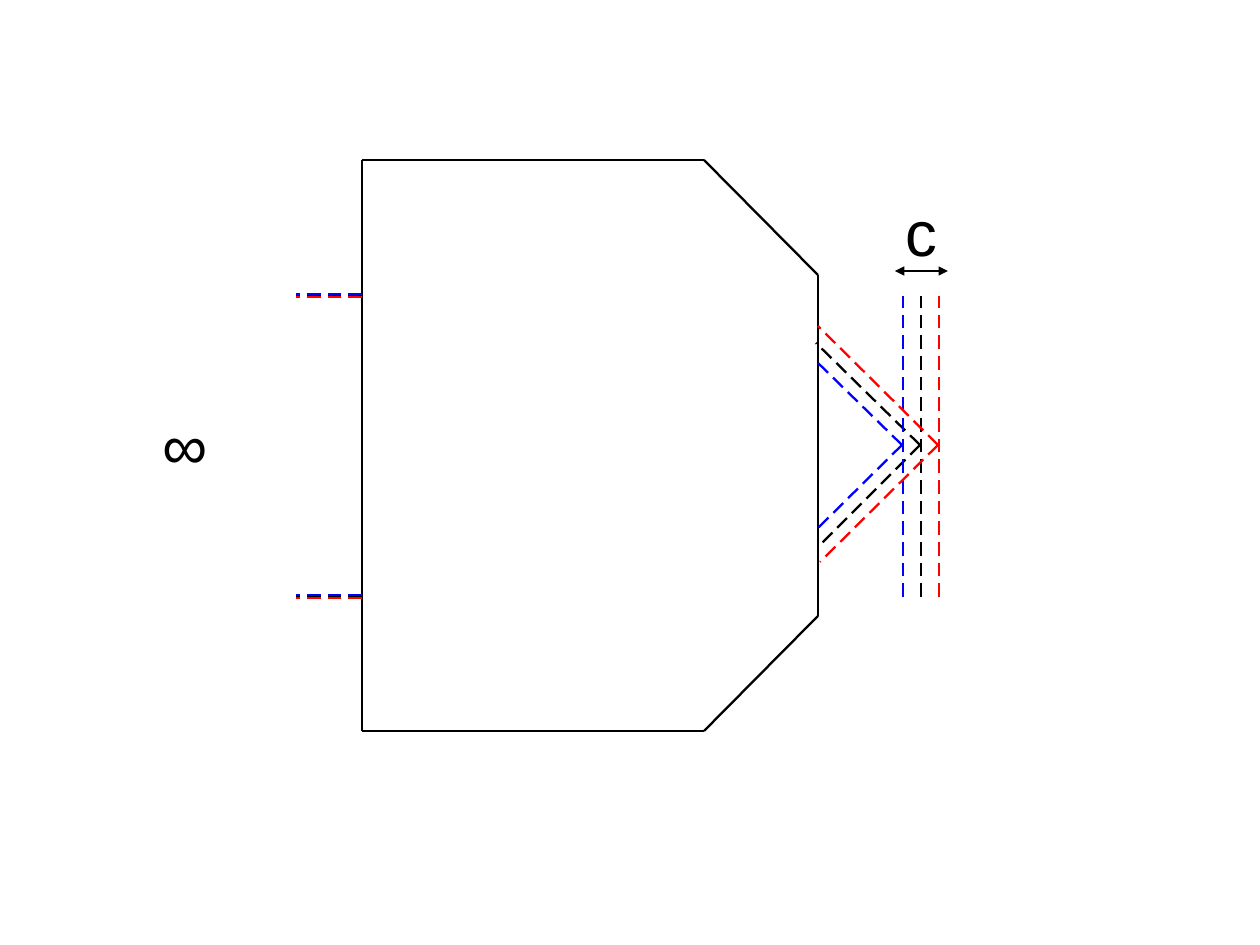
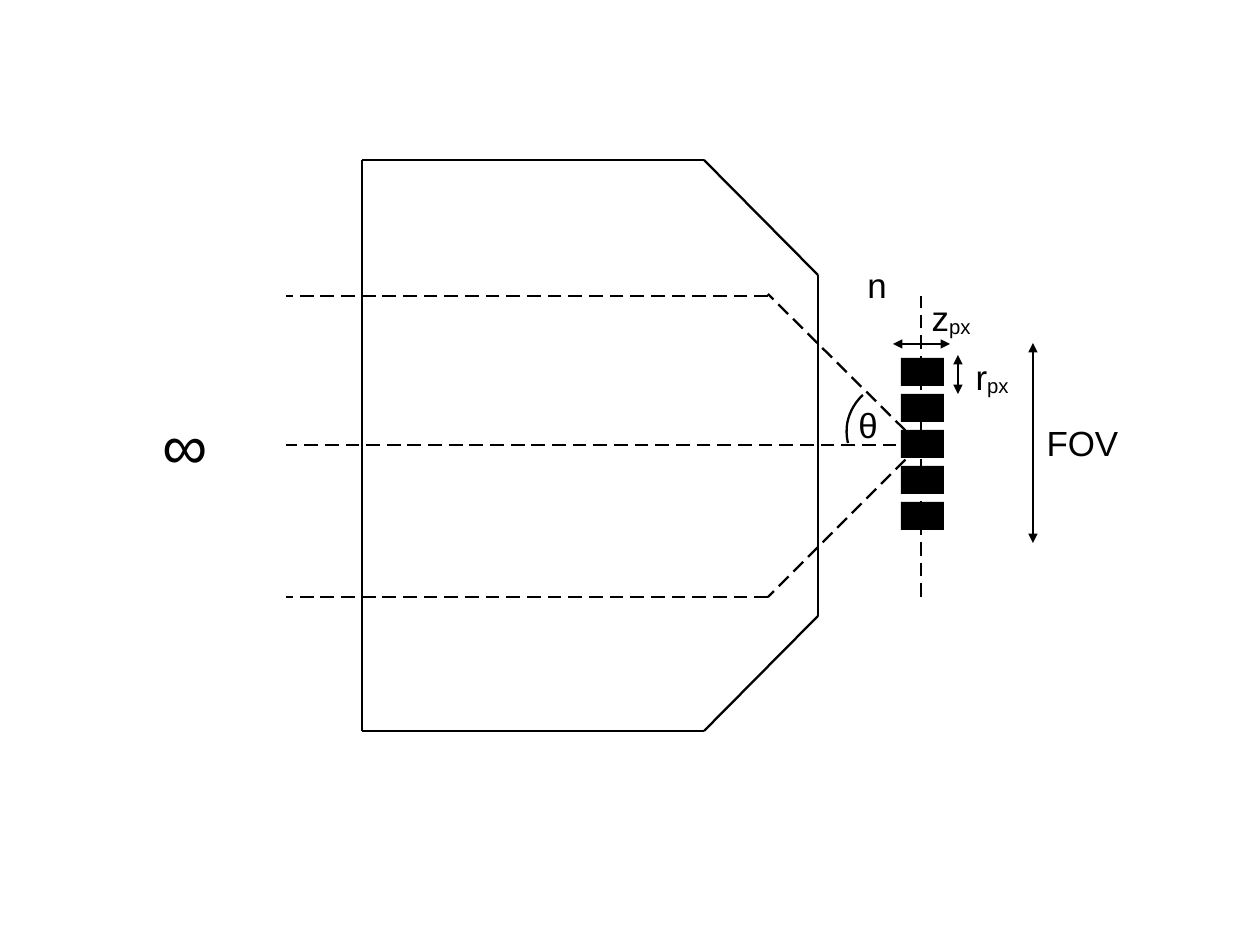
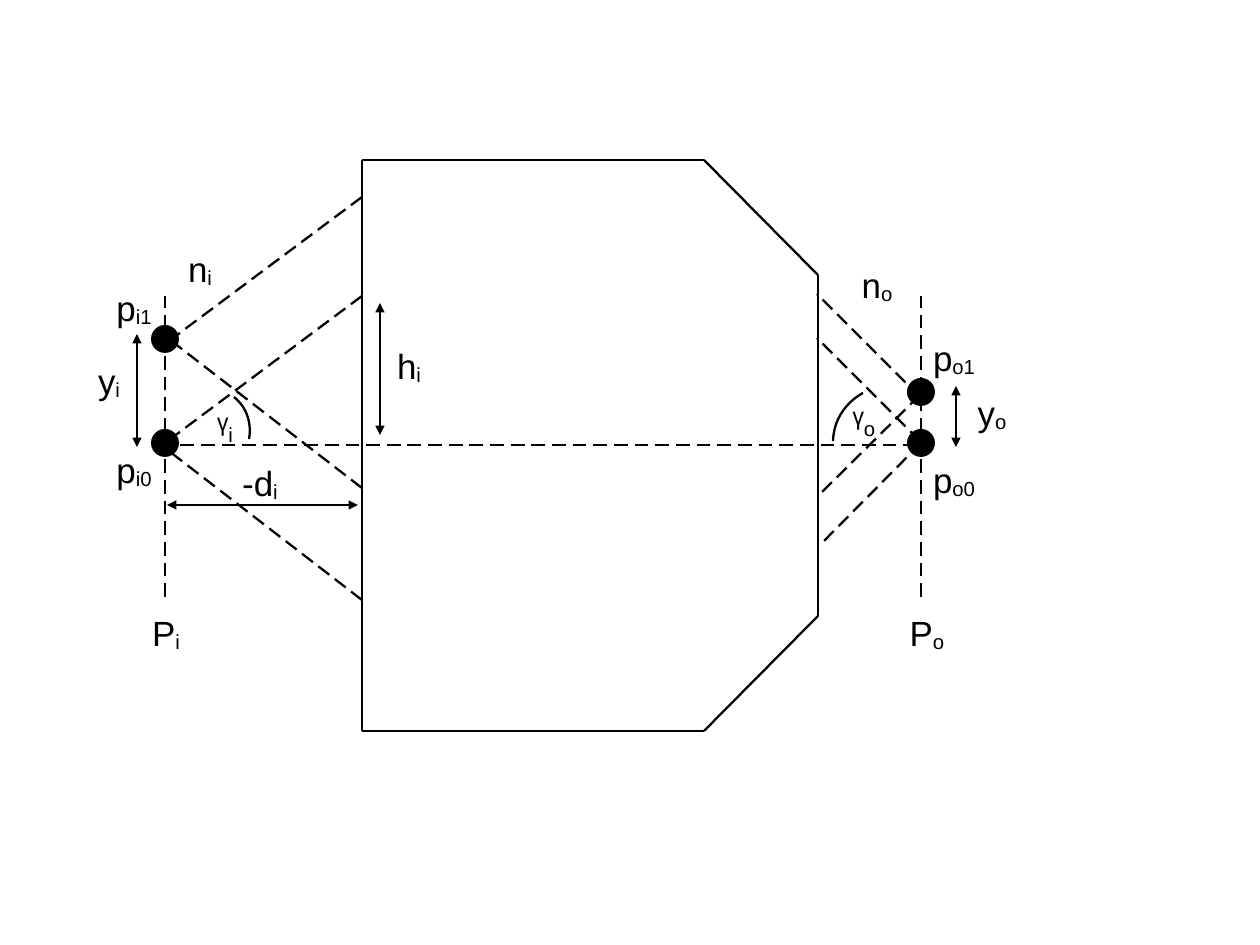
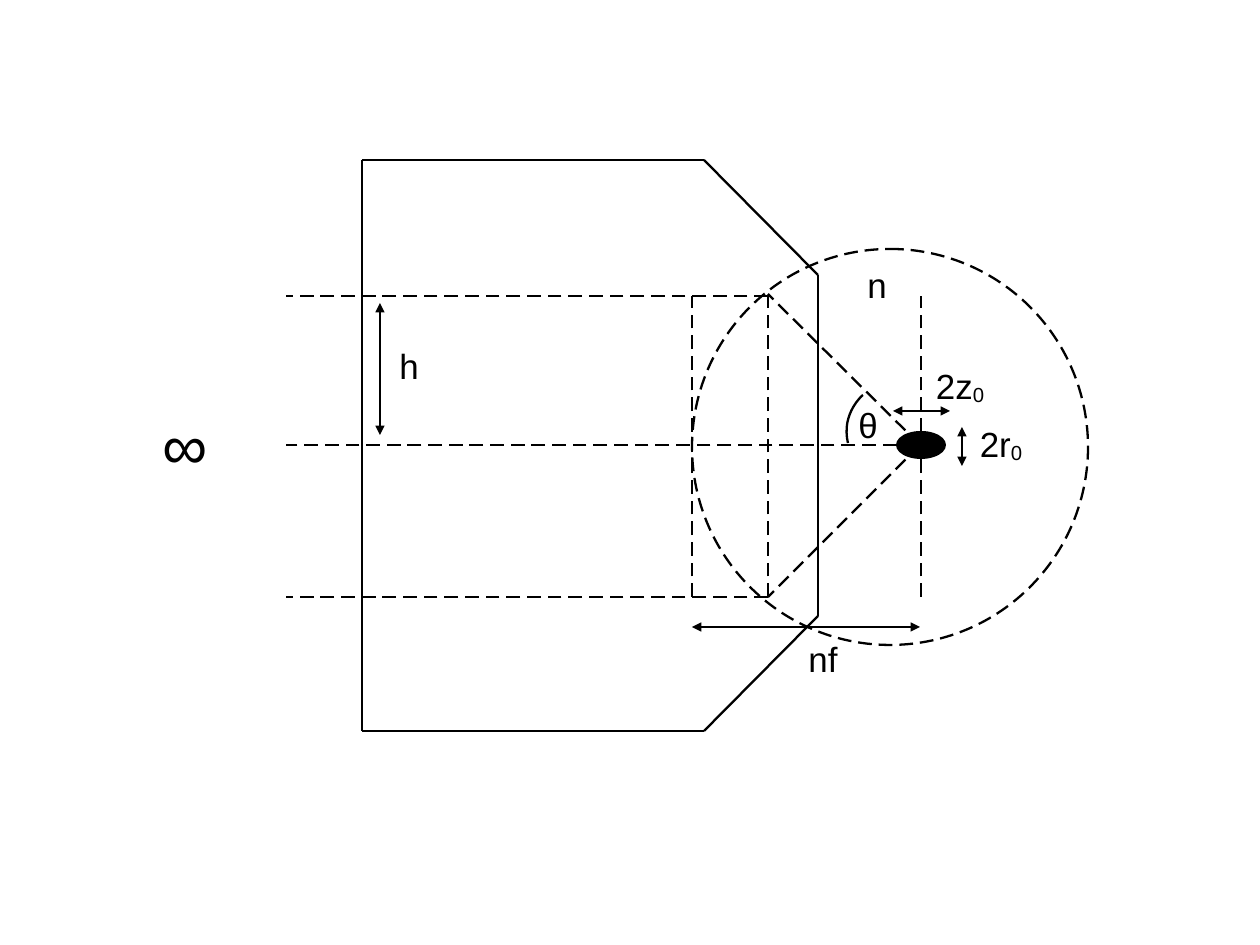
from lxml import etree
from pptx import Presentation
from pptx import util as u
from pptx.dml.color import RGBColor
from pptx.enum import shapes, text
from pptx.oxml import ns

PX = 8000
FONT = "Arial"
LINE_WIDTH = u.Pt(1.45)
COLORS = {"black": "000000", "blue": "0000FF", "red": "FF0000"}

AXIS, TOP, BOTTOM = 445, 296, 597
PLANE = 921
LENS = [(362, 160), (704, 160), (818, 275), (818, 616), (704, 731), (362, 731)]


def style_line(shape, color="black", dashed=False, arrows=False):
    shape.line.color.rgb = RGBColor.from_string(COLORS[color])
    shape.line.width = LINE_WIDTH
    properties = shape._element.spPr
    outline = properties.find(ns.qn("a:ln"))
    if dashed:
        dash = etree.SubElement(outline, ns.qn("a:custDash"))
        etree.SubElement(dash, ns.qn("a:ds"), d="600000", sp="300000")
    if arrows:
        for end in ("a:headEnd", "a:tailEnd"):
            etree.SubElement(outline, ns.qn(end), type="triangle")
    if properties.find(ns.qn("a:effectLst")) is None:
        etree.SubElement(properties, ns.qn("a:effectLst"))


def add_label(slide, left, top, symbol, subscript="", size=22, width=86, height=57):
    box = slide.shapes.add_textbox(left * PX, top * PX, width * PX, height * PX)
    frame = box.text_frame
    frame.word_wrap = True
    frame.auto_size = text.MSO_AUTO_SIZE.SHAPE_TO_FIT_TEXT
    frame.text = symbol
    paragraph = frame.paragraphs[0]
    paragraph.alignment = text.PP_ALIGN.CENTER
    if subscript:
        run = paragraph.add_run()
        run.text = subscript
        run._r.get_or_add_rPr().set("baseline", "-8000")
    for run in paragraph.runs:
        run.font.size = u.Pt(size)
        run.font.name = FONT
        run.font.color.rgb = RGBColor.from_string(COLORS["black"])


colour_rays = []
for color, plane, upper, lower, shift in [
    ("black", PLANE, (816, 343), (822, 543), 0),
    ("blue", 903, (816, 361), (818, 528), -2),
    ("red", 939, (818, 326), (820, 562), 1),
]:
    colour_rays += [
        (plane - 1, AXIS, *upper, color),
        (plane - 1, AXIS, *lower, color),
        (plane, BOTTOM, plane, TOP, color),
        (362, TOP + shift, 296, TOP + shift, color),
        (362, BOTTOM + shift, 296, BOTTOM + shift, color),
    ]

focus_rays = [
    (920, AXIS, 768, 294),
    (920, AXIS, 768, BOTTOM),
    (768, TOP, 286, TOP),
    (768, BOTTOM, 286, BOTTOM),
    (917, AXIS, 286, AXIS),
    (PLANE, BOTTOM, PLANE, TOP),
]
focus_arc = [(848, 443), (841, 413), (863, 395)]
focus_labels = [(825, 398, "θ"), (834, 258, "n")]
height_arrow = (380, 303, 380, 435)

RECTANGLE = shapes.MSO_SHAPE.RECTANGLE
OVAL = shapes.MSO_SHAPE.OVAL

drawings = [
    {
        "infinity": True,
        "dashes": colour_rays,
        "arrows": [(948, 271, 895, 271)],
        "labels": [(864, 187, "c", "", 40, 114, 89)],
    },
    {
        "infinity": True,
        "dashes": focus_rays,
        "arcs": [focus_arc],
        "solids": [(RECTANGLE, 901, 358 + 36 * row, 43, 28) for row in range(5)],
        "arrows": [(1033, 543, 1033, 343), (893, 344, 950, 344), (958, 355, 958, 394)],
        "labels": focus_labels + [
            (1032, 416, "FOV", "", 22, 101, 65),
            (949, 350, "r", "px"),
            (908, 291, "z", "px"),
        ],
    },
    {
        "dashes": [
            (921, 443, 822, 543),
            (917, AXIS, 171, AXIS),
            (PLANE, BOTTOM, PLANE, TOP),
            (165, BOTTOM, 165, TOP),
            (920, 397, 817, 294),
            (920, 395, 818, 496),
            (920, 441, 817, 338),
            (362, 296, 165, 443),
            (362, 600, 165, 448),
            (362, 197, 165, 344),
            (362, 488, 165, 336),
        ],
        "arcs": [[(833, 441), (834, 407), (863, 393)], [(234, 397), (255, 414), (249, 439)]],
        "solids": [
            (OVAL, left, top, 28, 28)
            for left, top in [(907, 378), (907, 429), (151, 325), (151, 429)]
        ],
        "arrows": [
            (137, 334, 137, 447),
            (956, 386, 956, 447),
            height_arrow,
            (167, 505, 358, 505),
        ],
        "labels": [
            (821, 393, "ᵞ", "o"),
            (157, 242, "n", "i"),
            (182, 399, "ᵞ", "i"),
            (123, 606, "P", "i"),
            (884, 606, "P", "o"),
            (66, 354, "y", "i"),
            (949, 386, "y", "o"),
            (91, 281, "p", "i1"),
            (911, 331, "p", "o1"),
            (911, 453, "p", "o0"),
            (91, 443, "p", "i0"),
            (366, 339, "h", "i"),
            (217, 456, "-d", "i"),
            (834, 258, "n", "o"),
        ],
    },
    {
        "infinity": True,
        "circle": (692, 249, 396, 396),
        "dashes": focus_rays + [(x, BOTTOM, x, TOP) for x in (768, 692)],
        "arcs": [focus_arc],
        "solids": [(OVAL, 896, 431, 50, 28)],
        "arrows": [
            (692, 627, 920, 627),
            height_arrow,
            (893, 411, 950, 411),
            (962, 427, 962, 466),
        ],
        "labels": focus_labels + [
            (780, 632, "nf"),
            (366, 339, "h"),
            (958, 417, "2r", "0"),
            (917, 359, "2z", "0"),
        ],
    },
]

presentation = Presentation()
presentation.slide_width = 1260 * PX
presentation.slide_height = 945 * PX

for drawing in drawings:
    slide = presentation.slides.add_slide(presentation.slide_layouts[6])

    if "circle" in drawing:
        circle = slide.shapes.add_shape(OVAL, *[value * PX for value in drawing["circle"]])
        circle.rotation = 90
        circle.fill.background()
        style_line(circle, dashed=True)

    lens_sides = [(*start, *end) for start, end in zip(LENS, LENS[1:] + LENS[:1])]
    for group, dashed, arrows in [
        (lens_sides, False, False),
        (drawing["dashes"], True, False),
        (drawing["arrows"], False, True),
    ]:
        for x1, y1, x2, y2, *color in group:
            line = slide.shapes.add_connector(
                shapes.MSO_CONNECTOR.STRAIGHT, x1 * PX, y1 * PX, x2 * PX, y2 * PX
            )
            style_line(line, *color, dashed=dashed, arrows=arrows)

    for start, control, end in drawing.get("arcs", []):
        points = []
        for step in range(17):
            t = step / 16
            weights = ((1 - t) ** 3, 3 * t * (1 - t) ** 2, 3 * t**2 * (1 - t) + t**3)
            points.append([
                PX * sum(weight * point[axis] for weight, point in zip(weights, (start, control, end)))
                for axis in (0, 1)
            ])
        builder = slide.shapes.build_freeform(*points[0])
        builder.add_line_segments(points[1:], close=False)
        arc = builder.convert_to_shape()
        arc.fill.background()
        style_line(arc)

    for kind, *bounds in drawing.get("solids", []):
        solid = slide.shapes.add_shape(kind, *[value * PX for value in bounds])
        solid.shadow.inherit = False
        solid.fill.solid()
        solid.fill.fore_color.rgb = RGBColor.from_string(COLORS["black"])
        solid.line.fill.background()

    if drawing.get("infinity"):
        add_label(slide, 128, 400, "∞", size=40, width=114, height=89)
    for label in drawing["labels"]:
        add_label(slide, *label)

presentation.save("out.pptx")
